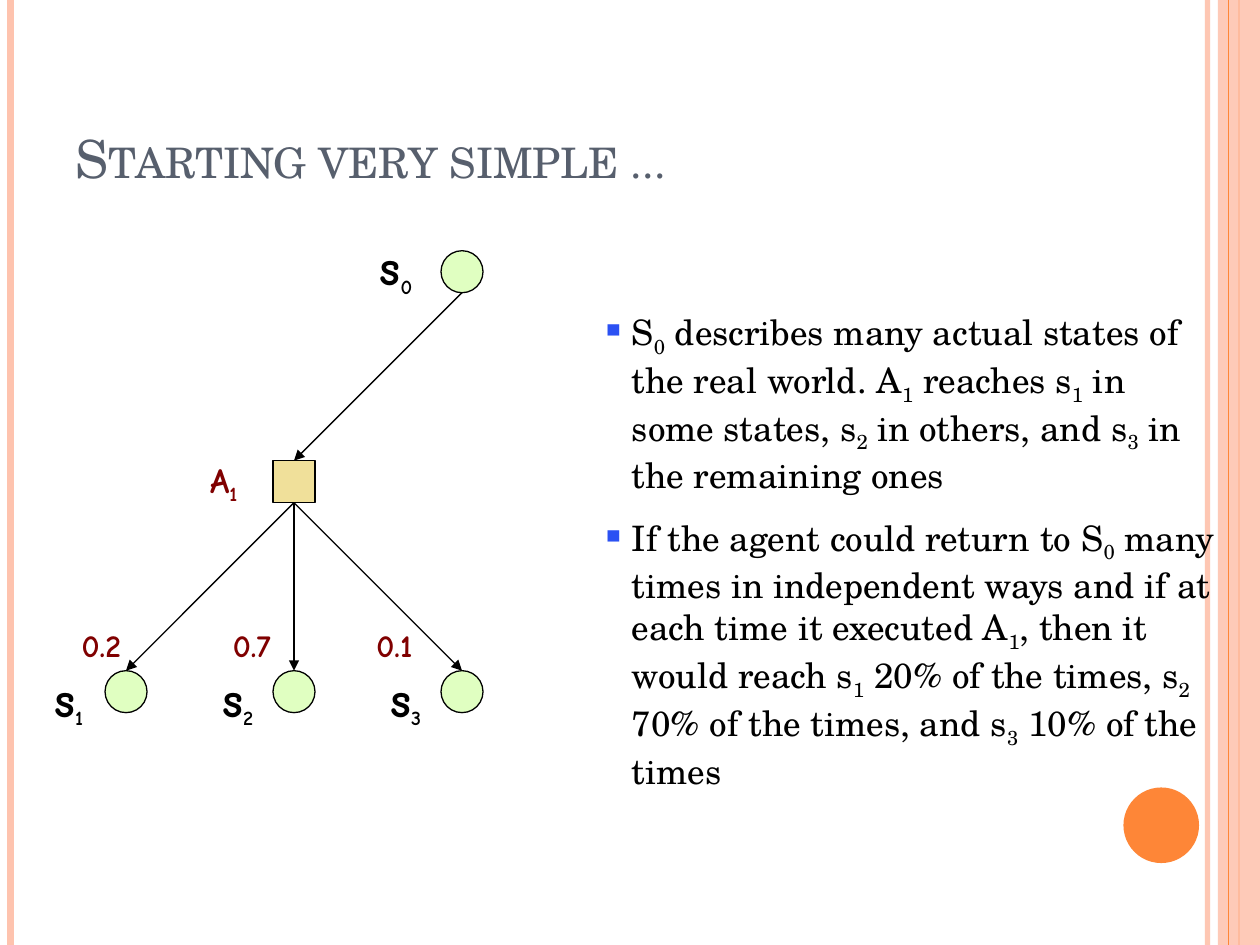
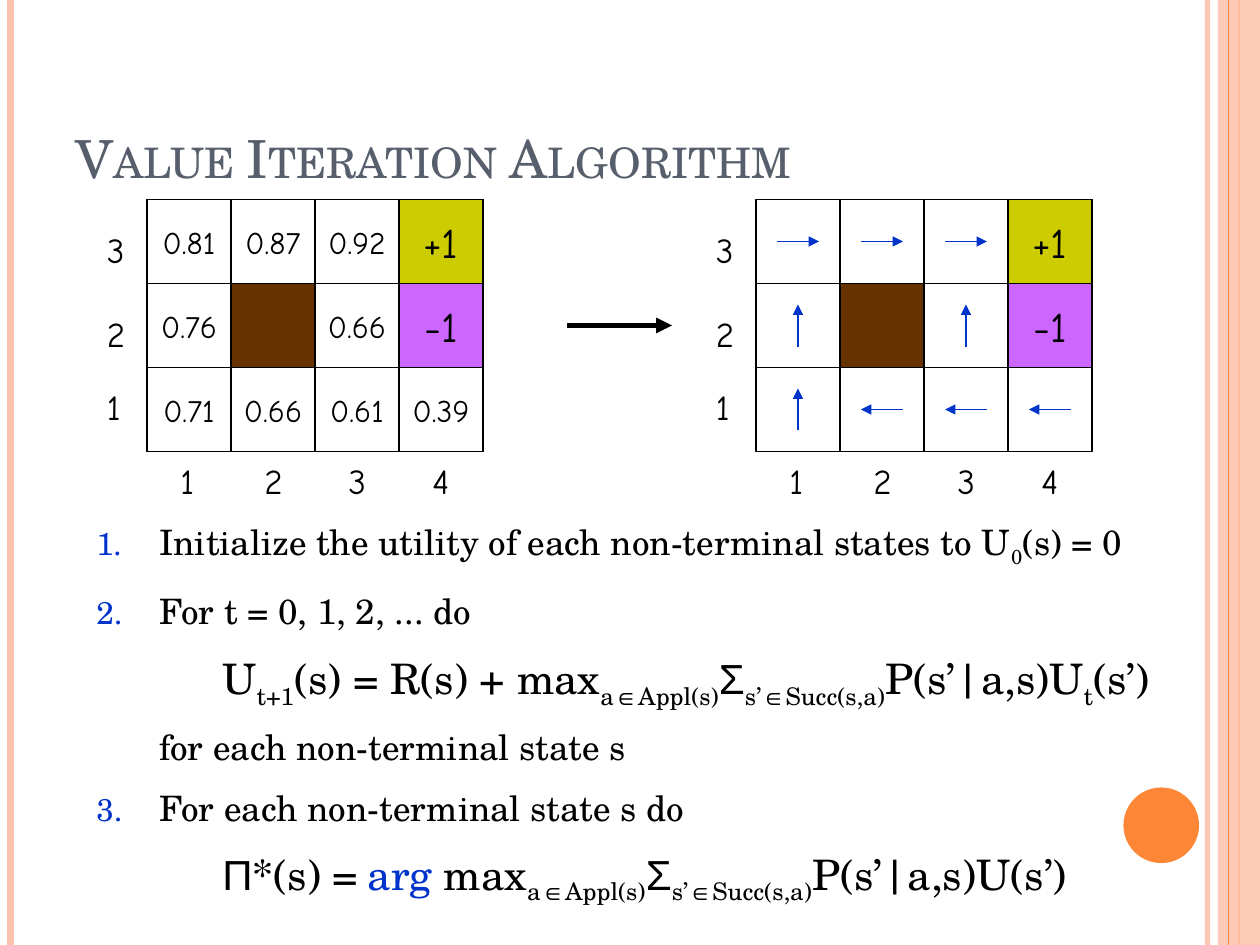
"""Build two slides on decision trees and value iteration."""
from lxml import etree
from pptx import Presentation
from pptx.dml.color import RGBColor
from pptx.enum.shapes import MSO_CONNECTOR, MSO_SHAPE
from pptx.enum.text import MSO_ANCHOR, MSO_AUTO_SIZE, PP_ALIGN
from pptx.oxml.ns import qn
from pptx.util import Pt

STRAIGHT = MSO_CONNECTOR.STRAIGHT
RECTANGLE, OVAL = MSO_SHAPE.RECTANGLE, MSO_SHAPE.OVAL
BOTTOM, MIDDLE = MSO_ANCHOR.BOTTOM, MSO_ANCHOR.MIDDLE
LEFT, CENTER = PP_ALIGN.LEFT, PP_ALIGN.CENTER
GROW, FIXED = MSO_AUTO_SIZE.SHAPE_TO_FIT_TEXT, MSO_AUTO_SIZE.NONE

BLACK = RGBColor(0x00, 0x00, 0x00)
WHITE = RGBColor(0xFF, 0xFF, 0xFF)
ORANGE = RGBColor(0xFE, 0x86, 0x37)
PEACH = RGBColor(0xFE, 0xC3, 0xAE)
SLATE = RGBColor(0x57, 0x5F, 0x6D)
STATE_GREEN = RGBColor(0xE0, 0xFF, 0xC1)
ACTION_SAND = RGBColor(0xF0, 0xE0, 0x9A)
MAROON = RGBColor(0x80, 0x00, 0x00)
BULLET_BLUE = RGBColor(0x2B, 0x51, 0xF3)
BLUE = RGBColor(0x00, 0x33, 0xCC)
WALL_BROWN = RGBColor(0x66, 0x33, 0x00)
GOAL_YELLOW = RGBColor(0xCC, 0xCC, 0x00)
TRAP_PURPLE = RGBColor(0xCC, 0x66, 0xFF)

SERIF, COMIC, SANS = "TeX Gyre Schola", "Comic Neue", "Arial"
WIDTH, HEIGHT = 720, 540
NODE = 24
CELL, COLUMNS, ROWS = 48, 4, 3
STEPS = {">": (12, 0), "<": (-12, 0), "^": (0, -12)}


def add_text(paragraph, text, size=20, font=SERIF, color=BLACK, bold=False,
             small_caps=False, sub_size=None):
    """Add runs to a paragraph; parts between underscores are subscripts."""
    for index, part in enumerate(text.split("_")):
        if not part:
            continue
        lowered = index % 2 == 1
        run = paragraph.add_run()
        run.text = part
        run.font.name = font
        run.font.size = Pt(sub_size if lowered and sub_size else size)
        run.font.bold = bold
        run.font.color.rgb = color
        properties = run.font._element
        if lowered:
            properties.set("baseline", "-25000")
        if small_caps:
            properties.set("cap", "small")


def add_box(slide, left, top, width, height, wrap=True, anchor=None, grow=True):
    """Add an empty text box and return its text frame."""
    frame = slide.shapes.add_textbox(Pt(left), Pt(top), Pt(width), Pt(height)).text_frame
    frame.word_wrap = wrap
    frame.auto_size = GROW if grow else FIXED
    if anchor is not None:
        frame.vertical_anchor = anchor
    return frame


def add_label(slide, text, left, top, width, height, **style):
    """Place a one-line label in the diagram font."""
    frame = add_box(slide, left, top, width, height, wrap=False)
    add_text(frame.paragraphs[0], text, font=COMIC, **style)


def add_figure(slide, kind, left, top, width, height, fill=None, line=BLACK):
    """Add a preset shape with a thin outline and optional fill."""
    figure = slide.shapes.add_shape(kind, Pt(left), Pt(top), Pt(width), Pt(height))
    figure.shadow.inherit = False
    if fill is None:
        figure.fill.background()
    else:
        figure.fill.solid()
        figure.fill.fore_color.rgb = fill
    if line is None:
        figure.line.fill.background()
    else:
        figure.line.color.rgb = line
        figure.line.width = Pt(0.75)
    return figure


def add_line(slide, start, end, color=BLACK, width=0.75, arrow=False):
    """Draw a straight line, with an arrowhead at its end on request."""
    line = slide.shapes.add_connector(STRAIGHT, *(Pt(value) for value in (*start, *end)))
    line.line.color.rgb = color
    line.line.width = Pt(width)
    properties = line._element.spPr
    if arrow:
        etree.SubElement(properties.find(qn("a:ln")), qn("a:tailEnd"), type="triangle")
    etree.SubElement(properties, qn("a:effectLst"))
    return line


def set_opacity(figure, percent):
    """Set the opacity of the first colour in a shape."""
    color = next(figure._element.spPr.iter(qn("a:srgbClr")))
    etree.SubElement(color, qn("a:alpha"), val=str(percent * 1000))


def add_marker(paragraph, color, margin, symbol=None, number=None):
    """Give a paragraph a hanging bullet or number."""
    properties = paragraph._p.get_or_add_pPr()
    properties.set("marL", str(Pt(margin)))
    properties.set("indent", str(Pt(-margin)))
    tint = etree.SubElement(properties, qn("a:buClr"))
    etree.SubElement(tint, qn("a:srgbClr"), val=str(color))
    if symbol:
        etree.SubElement(properties, qn("a:buChar"), char=symbol)
    else:
        etree.SubElement(properties, qn("a:buSzPct"), val="90000")
        etree.SubElement(properties, qn("a:buAutoNum"), type="arabicPeriod",
                         startAt=str(number))


def start_slide(deck, title):
    """Add a slide with the edge bands, the disc and a title."""
    slide = deck.slides.add_slide(deck.slide_layouts[6])

    def edge(x, color, width):
        """Draw a full-height vertical line."""
        return add_line(slide, (x, 0), (x, HEIGHT), color, width)

    set_opacity(edge(690, PEACH, 3), 93)
    edge(6, PEACH, 4.5)
    edge(708, ORANGE, 1.5)
    set_opacity(add_figure(slide, RECTANGLE, 696, 0, 24, HEIGHT, PEACH, None), 87)
    edge(702, ORANGE, 0.75)
    add_figure(slide, OVAL, 642, 450, 43.2, 43.2, ORANGE, None)
    heading = add_box(slide, 36, 21.6, 588, 90, anchor=BOTTOM, grow=False)
    add_text(heading.paragraphs[0], title, size=30, color=SLATE, small_caps=True)
    return slide


def draw_tree(slide, left, top):
    """Draw the start state, its action and the three outcomes."""
    level, spread = 120, 96
    state_style = dict(size=28, sub_size=20, bold=True)
    start_left, action_left = left + 2 * spread, left + spread
    add_figure(slide, OVAL, start_left, top, NODE, NODE, STATE_GREEN)
    add_label(slide, "s_0_", start_left - 42, top - 11.5, 36, 41, **state_style)
    action = add_figure(slide, RECTANGLE, action_left, top + level, NODE, NODE, ACTION_SAND)
    add_label(slide, "A_1_", action_left - 43, top + level - 5, 36.7, 31,
              color=MAROON, bold=True)
    reach = add_line(slide, (start_left + NODE / 2, top + NODE),
                     (action_left + NODE / 2, top + level), arrow=True)
    reach.end_connect(action, 0)

    leaf_top = top + 2 * level
    for index, (chance, chance_left) in enumerate((("0.2", -20.4), ("0.7", 66), ("0.1", 148))):
        leaf_left = left + index * spread
        leaf = add_figure(slide, OVAL, leaf_left, leaf_top, NODE, NODE, STATE_GREEN)
        add_label(slide, f"s_{index + 1}_", leaf_left - 36, leaf_top - 5, 36, 41,
                  **state_style)
        outcome = add_line(slide, (action_left + NODE / 2, top + level + NODE),
                           (leaf_left + NODE / 2, leaf_top), arrow=True)
        outcome.begin_connect(action, 2)
        outcome.end_connect(leaf, 0)
        add_label(slide, chance, left + chance_left, leaf_top - 29, 44, 29,
                  size=18, color=MAROON, bold=True)


def write_explanation(slide, left, top, width, height):
    """Write the two bulleted remarks beside the tree."""
    remarks = (
        "S_0_ describes many actual states of the real world. A_1_ reaches s_1_ in some "
        "states, s_2_ in others, and s_3_ in the remaining ones",
        "If the agent could return to S_0_ many times in independent ways and if at each "
        "time it executed A_1_, then it would reach s_1_ 20% of the times, s_2_ 70% of the "
        "times, and s_3_ 10% of the times",
    )
    frame = add_box(slide, left, top, width, height)
    for index, remark in enumerate(remarks):
        paragraph = frame.add_paragraph() if index else frame.paragraphs[0]
        paragraph.space_before = Pt(11.5 * index)
        add_marker(paragraph, BULLET_BLUE, 18, symbol="▪")
        add_text(paragraph, remark)


def fill_cell(slide, left, top, column, row, color, text="", size=24):
    """Fill one cell of a board and centre its text."""
    cell = add_figure(slide, RECTANGLE, left + column * CELL, top + row * CELL,
                      CELL, CELL, color)
    if text:
        frame = cell.text_frame
        frame.word_wrap = False
        frame.vertical_anchor = MIDDLE
        frame.paragraphs[0].alignment = CENTER
        add_text(frame.paragraphs[0], text, size=size, font=COMIC)


def draw_board(slide, left, top):
    """Draw the grid world with its axes, wall and terminal cells."""
    right, bottom = left + COLUMNS * CELL, top + ROWS * CELL
    add_figure(slide, RECTANGLE, left, top, right - left, bottom - top)
    for x in range(left + CELL, right, CELL):
        add_line(slide, (x, top), (x, bottom))
    for y in range(top + CELL, bottom, CELL):
        add_line(slide, (left, y), (right, y))
    fill_cell(slide, left, top, 1, 1, WALL_BROWN)
    fill_cell(slide, left, top, 3, 0, GOAL_YELLOW, "+1")
    fill_cell(slide, left, top, 3, 1, TRAP_PURPLE, "-1")
    for row, offset in enumerate((13, 61, 103)):
        add_label(slide, str(ROWS - row), left - 30, top + offset, 26 if row < 2 else 24, 31)
    for column in range(COLUMNS):
        add_label(slide, str(column + 1), left + 12 + column * CELL, bottom + 1,
                  26 if column else 24, 31)


def draw_utilities(slide, left, top):
    """Draw the board with the utility of each state."""
    draw_board(slide, left, top)
    utilities = (("0.81", "0.87", "0.92"), ("0.76", None, "0.66"),
                 ("0.71", "0.66", "0.61", "0.39"))
    for row, values in enumerate(utilities):
        for column, value in enumerate(values):
            if value:
                fill_cell(slide, left, top, column, row, WHITE, value, size=18)


def draw_policy(slide, left, top):
    """Draw the board with the best move of each state."""
    draw_board(slide, left, top)
    for row, moves in enumerate((">>>", "^ ^", "^<<<")):
        for column, move in enumerate(moves):
            if move in STEPS:
                dx, dy = STEPS[move]
                x, y = left + (column + 0.5) * CELL, top + (row + 0.5) * CELL
                add_line(slide, (x - dx, y - dy), (x + dx, y + dy), BLUE, arrow=True)


def write_algorithm(slide, left, top, width, height):
    """Write the numbered steps with their formulas."""
    big, symbol = dict(size=24), dict(size=24, font=SANS)
    best = [("max_a∈Appl(s)_", big), ("Σ", symbol)]
    lines = (
        (1, 0, 0, [("Initialize the utility of each non-terminal states to U_0_(s) = 0", {})]),
        (2, 0, 12, [("For t = 0, 1, 2, ... do", {})]),
        (None, 72, 12, [("U_t+1_(s) = R(s) + ", big), *best,
                        ("_s’∈Succ(s,a)_P(s’|a,s)U_t_(s’)", big)]),
        (None, 36, 9, [("for each non-terminal state s", {})]),
        (3, 0, 11, [("For each non-terminal state s do", {})]),
        (None, 72, 11, [("Π", symbol), ("*(s) =", big), (" ", {}),
                        ("arg ", dict(size=24, color=BLUE)), *best,
                        ("_s’∈Succ(s,a)_P(s’|a,s)U(s’)", big)]),
    )
    frame = add_box(slide, left, top, width, height)
    for index, (number, margin, gap, pieces) in enumerate(lines):
        paragraph = frame.add_paragraph() if index else frame.paragraphs[0]
        paragraph.alignment = LEFT
        paragraph.space_before = Pt(gap)
        if number:
            add_marker(paragraph, BLUE, 36, number=number)
        else:
            paragraph._p.get_or_add_pPr().set("marL", str(Pt(margin)))
        for text, style in pieces:
            add_text(paragraph, text, **style)


def main():
    """Build and save the deck."""
    deck = Presentation()
    deck.slide_width, deck.slide_height = Pt(WIDTH), Pt(HEIGHT)

    tree = start_slide(deck, "Starting very simple ...")
    draw_tree(tree, 60, 143.25)
    write_explanation(tree, 336, 174, 366, 261)

    iteration = start_slide(deck, "Value Iteration Algorithm")
    draw_policy(iteration, 432, 114)
    draw_utilities(iteration, 84, 114)
    write_algorithm(iteration, 48, 294, 654, 214)
    add_line(iteration, (324, 186), (384, 186), width=3, arrow=True)

    deck.save("out.pptx")


if __name__ == "__main__":
    main()
